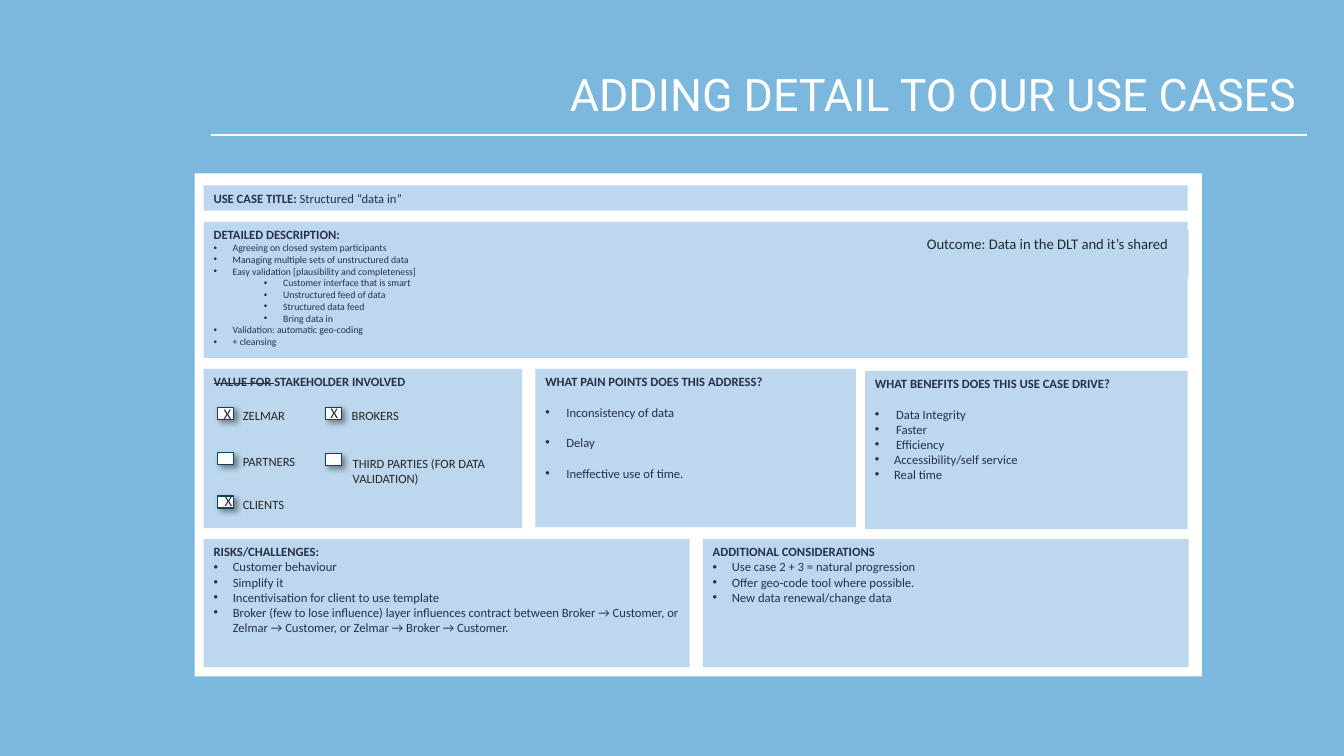
from lxml import etree
from pptx import Presentation
from pptx.dml.color import RGBColor
from pptx.enum.shapes import MSO_CONNECTOR, MSO_SHAPE
from pptx.enum.text import MSO_ANCHOR, PP_ALIGN
from pptx.oxml.ns import qn
from pptx.util import Inches, Pt

RECTANGLE = MSO_SHAPE.RECTANGLE
STRAIGHT = MSO_CONNECTOR.STRAIGHT
TOP = MSO_ANCHOR.TOP
LEFT, CENTER, RIGHT = PP_ALIGN.LEFT, PP_ALIGN.CENTER, PP_ALIGN.RIGHT

SKY = RGBColor(0x7C, 0xB7, 0xDD)
WHITE = RGBColor(0xFF, 0xFF, 0xFF)
PANEL_BLUE = RGBColor(0xBD, 0xD7, 0xEE)
NAVY = RGBColor(0x26, 0x31, 0x47)
CHARCOAL = RGBColor(0x26, 0x26, 0x26)
SLATE = RGBColor(0x22, 0x2A, 0x35)
TEAL = RGBColor(0x09, 0x45, 0x5F)
BLACK = RGBColor(0, 0, 0)

BODY_FONT, TITLE_FONT = "Calibri", "Roboto"
LINE_GAP = 11  # one line of 9 pt text, in points

DESCRIPTION = [
    ("Agreeing on closed system participants", 0),
    ("Managing multiple sets of unstructured data", 0),
    ("Easy validation [plausibility and completeness]", 0),
    ("Customer interface that is smart", 1),
    ("Unstructured feed of data", 1),
    ("Structured data feed", 1),
    ("Bring data in", 1),
    ("Validation: automatic geo-coding", 0),
    ("+ cleansing", 0),
]
PAIN_POINTS = ["Inconsistency of data", "Delay", "Ineffective use of time."]
WIDE_BENEFITS = ["Data Integrity", "Faster", "Efficiency"]
BENEFITS = ["Accessibility/self service", "Real time"]
RISKS = [
    "Customer behaviour",
    "Simplify it",
    "Incentivisation for client to use template",
    "Broker (few to lose influence) layer influences contract between "
    "Broker → Customer, or Zelmar → Customer, or Zelmar → Broker → Customer.",
]
CONSIDERATIONS = [
    "Use case 2 + 3 = natural progression",
    "Offer geo-code tool where possible.",
    "New data renewal/change data",
]
# label, checkbox left and top, label left, top, width and height
STAKEHOLDERS = [
    ("ZELMAR", 2.16, 4.04, 2.31, 4.0, 1.57, 0.2),
    ("PARTNERS", 2.16, 4.49, 2.31, 4.45, 1.57, 0.2),
    ("CLIENTS", 2.16, 4.92, 2.31, 4.88, 1.57, 0.2),
    ("BROKERS", 3.23, 4.04, 3.39, 4.0, 1.57, 0.2),
    ("THIRD PARTIES (FOR DATA VALIDATION)", 3.23, 4.5, 3.4, 4.47, 1.89, 0.32),
]
CHECK_MARKS = [(2.08, 3.97), (3.14, 3.96), (2.09, 4.83)]


def add_block(slide, left, top, width, height, fill):
    block = slide.shapes.add_shape(
        RECTANGLE, Inches(left), Inches(top), Inches(width), Inches(height))
    block.shadow.inherit = False
    block.fill.solid()
    block.fill.fore_color.rgb = fill
    block.line.fill.background()
    return block


def add_run(paragraph, text, size, color, bold=False, font=BODY_FONT):
    run = paragraph.add_run()
    run.text = text
    run.font.size = Pt(size)
    run.font.name = font
    run.font.bold = bold
    run.font.color.rgb = color
    return run


def start_text(frame, align=LEFT):
    """Prepare a text frame and return its first paragraph."""
    frame.word_wrap = True
    frame.vertical_anchor = TOP
    paragraph = frame.paragraphs[0]
    paragraph.alignment = align
    return paragraph


def add_label(slide, text, box, size, color, align=LEFT, font=BODY_FONT):
    label = slide.shapes.add_textbox(*[Inches(length) for length in box])
    paragraph = start_text(label.text_frame, align)
    add_run(paragraph, text, size, color, font=font)


def add_panel(slide, heading, left, top, width, height):
    """Add a blue panel with a bold heading and return its text frame."""
    panel = add_block(slide, left, top, width, height, PANEL_BLUE)
    paragraph = start_text(panel.text_frame)
    add_run(paragraph, heading, 9, NAVY, bold=True)
    return panel.text_frame


def add_bullet(frame, text, size=9, level=0, hang=0.19, gap=0):
    paragraph = frame.add_paragraph()
    paragraph.alignment = LEFT
    paragraph.level = level
    paragraph.space_before = Pt(gap)
    properties = paragraph._p.get_or_add_pPr()
    properties.set("marL", str(Inches(hang + 0.5 * level)))
    properties.set("indent", str(-Inches(hang)))
    etree.SubElement(properties, qn("a:buFont"), typeface="Arial")
    etree.SubElement(properties, qn("a:buChar"), char="•")
    add_run(paragraph, text, size, NAVY)


def add_checkbox(slide, left, top):
    checkbox = add_block(slide, left, top, 0.16, 0.12, WHITE)
    checkbox.line.color.rgb = TEAL
    checkbox.line.width = Pt(1)
    effects = checkbox._element.spPr.find(qn("a:effectLst"))
    shadow = etree.SubElement(
        effects, qn("a:outerShdw"), blurRad=str(Pt(4)), dist=str(Pt(3)),
        dir=str(45 * 60000), algn="tl", rotWithShape="0")
    color = etree.SubElement(shadow, qn("a:srgbClr"), val=str(BLACK))
    etree.SubElement(color, qn("a:alpha"), val="40000")


def add_title_rule(slide):
    rule = slide.shapes.add_connector(
        STRAIGHT, Inches(2.09), Inches(1.34), Inches(12.96), Inches(1.34))
    rule.line.color.rgb = WHITE
    rule.line.width = Pt(1)
    etree.SubElement(rule._element.spPr, qn("a:effectLst"))


def add_description(slide):
    use_case = add_panel(slide, "USE CASE TITLE: ", 2.02, 1.84, 9.76, 0.25)
    add_run(use_case.paragraphs[0], "Structured “data in”", 9, NAVY)
    details = add_panel(slide, "DETAILED DESCRIPTION:", 2.02, 2.2, 9.76, 1.35)
    for text, level in DESCRIPTION:
        add_bullet(details, text, size=7, level=level)
    outcome = add_block(slide, 8.99, 2.28, 2.8, 0.47, PANEL_BLUE)
    add_run(start_text(outcome.text_frame, CENTER),
            "Outcome: Data in the DLT and it’s shared", 10.5, SLATE)


def add_stakeholders(slide):
    panel = add_panel(slide, "VALUE FOR ", 2.02, 3.66, 3.16, 1.58)
    heading = panel.paragraphs[0]
    heading.runs[0].font._element.set("strike", "sngStrike")
    add_run(heading, "STAKEHOLDER INVOLVED", 9, NAVY, bold=True)
    for name, box_left, box_top, *label_box in STAKEHOLDERS:
        add_checkbox(slide, box_left, box_top)
        add_label(slide, name, label_box, 9, CHARCOAL)
    for left, top in CHECK_MARKS:
        add_label(slide, "X", (left, top, 0.35, 0.28), 10.5, SLATE, CENTER)


def add_pains_and_benefits(slide):
    pains = add_panel(slide, "WHAT PAIN POINTS DOES THIS ADDRESS?",
                      5.31, 3.66, 3.18, 1.57)
    for text in PAIN_POINTS:
        add_bullet(pains, text, hang=0.21, gap=LINE_GAP)
    benefits = add_panel(slide, "WHAT BENEFITS DOES THIS USE CASE DRIVE?",
                         8.58, 3.68, 3.2, 1.57)
    for index, text in enumerate(WIDE_BENEFITS):
        add_bullet(benefits, text, hang=0.21, gap=0 if index else LINE_GAP)
    for text in BENEFITS:
        add_bullet(benefits, text)


def add_risks_and_considerations(slide):
    for heading, left, points in (
            ("RISKS/CHALLENGES:", 2.02, RISKS),
            ("ADDITIONAL CONSIDERATIONS", 6.97, CONSIDERATIONS)):
        panel = add_panel(slide, heading, left, 5.35, 4.82, 1.27)
        for text in points:
            add_bullet(panel, text)


def main():
    deck = Presentation()
    deck.slide_width, deck.slide_height = Inches(13.33), Inches(7.5)
    slide = deck.slides.add_slide(deck.slide_layouts[6])
    add_block(slide, 0, 0, 13.33, 7.5, SKY)
    add_block(slide, 1.93, 1.72, 9.99, 4.99, WHITE)
    add_label(slide, "ADDING DETAIL TO OUR USE CASES",
              (1.83, 0.61, 11.13, 0.64), 32, WHITE, RIGHT, TITLE_FONT)
    add_title_rule(slide)
    add_description(slide)
    add_stakeholders(slide)
    add_pains_and_benefits(slide)
    add_risks_and_considerations(slide)
    deck.save("out.pptx")


if __name__ == "__main__":
    main()
